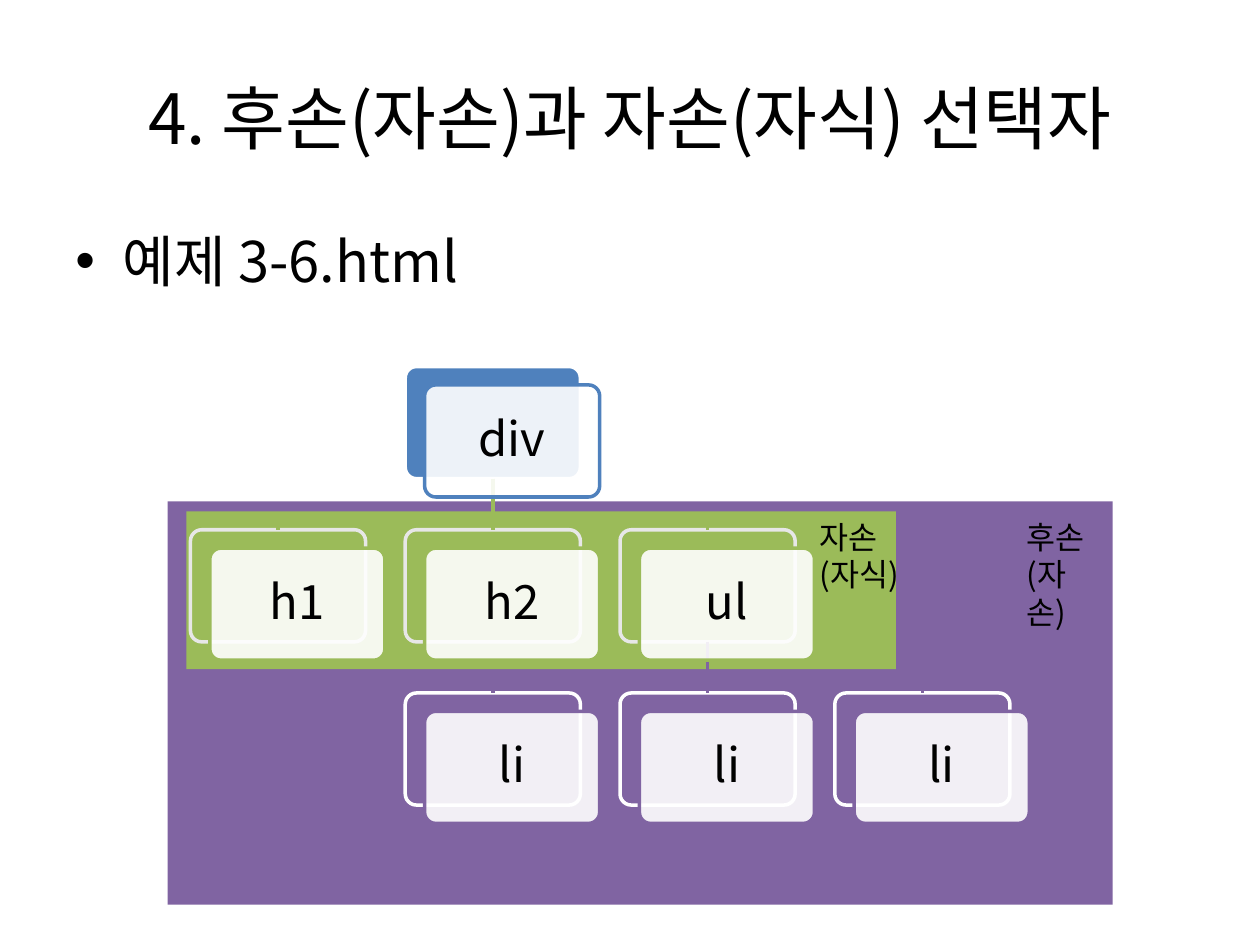
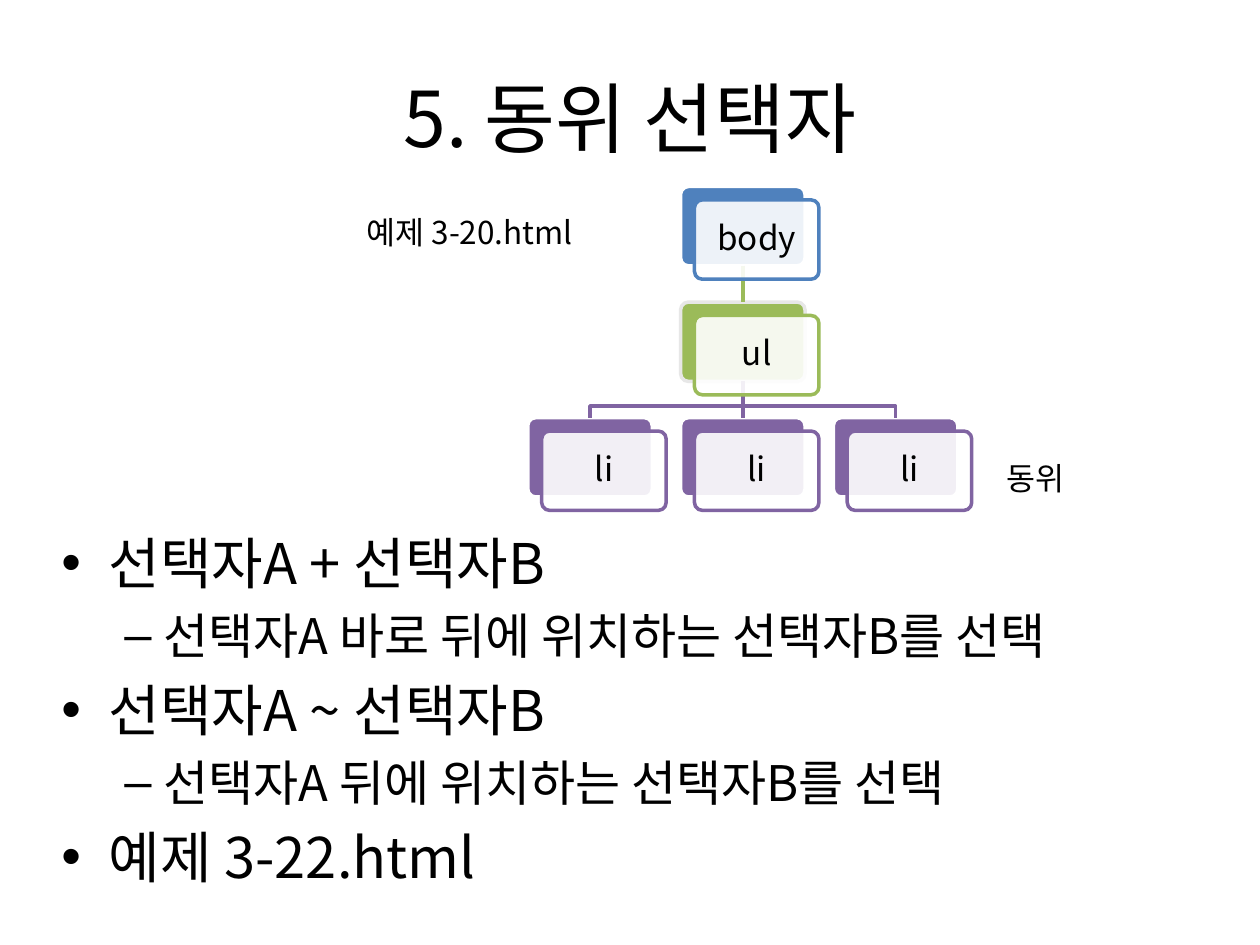
"""Build two slides on CSS descendant, child and sibling selectors."""
from lxml.etree import SubElement
from pptx import Presentation
from pptx.dml.color import RGBColor
from pptx.enum.shapes import MSO_CONNECTOR as Connector, MSO_SHAPE as Shape
from pptx.enum.text import MSO_ANCHOR as Anchor, PP_ALIGN as Align
from pptx.oxml.ns import qn
from pptx.util import Cm, Pt

FONT = "Noto Sans CJK KR"
COLORS = {"text": "000000", "white": "FFFFFF", "gray": "E7E7E7",
          "blue": "4F81BD", "green": "9BBB59", "purple": "8064A2"}
ROW_COLORS = [("blue", "white"), ("green", "gray"), ("purple", "white")]
BULLETS = [
    {"char": "•", "size": 32, "left": 0.95, "hang": 0.95},
    {"char": "–", "size": 28, "left": 2.06, "hang": 0.79},
]
TITLE_BOX = (1.27, 0.76, 22.86, 3.18)
LINE_WIDTH = 2
ELBOW_AT = 0.68

SLIDES = [
    {
        "title": ("4. 후손(자손)과 자손(자식) 선택자", 39.6),
        "body": ((1.27, 4.45, 22.86, 12.57), [(0, "예제 3-6.html")]),
        "bands": [("purple", (3.38, 10.11, 19.05, 8.13)),
                  ("green", (3.76, 10.31, 14.3, 3.18))],
        "notes": [((20.45, 10.31, 1.98, 1.8), ["후손(자손)"]),
                  ((16.28, 10.31, 2.18, 1.8), ["자손", "(자식)"])],
        "tree": {
            "origin": (3.84, 7.39), "pitch": (4.33, 3.29), "card": (3.53, 2.26),
            "offset": (0.39, 0.37), "inset": 0.35, "size": 27,
            "nodes": [("div", 1, 0, None), ("h1", 0, 1, 0), ("h2", 1, 1, 0),
                      ("ul", 2, 1, 0), ("li", 1, 2, 3), ("li", 2, 2, 3),
                      ("li", 3, 2, 3)],
        },
    },
    {
        "title": ("5. 동위 선택자", 44),
        "body": ((0.99, 10.52, 22.86, 8.05), [
            (0, "선택자A + 선택자B"),
            (1, "선택자A 바로 뒤에 위치하는 선택자B를 선택"),
            (0, "선택자A ~ 선택자B"),
            (1, "선택자A 뒤에 위치하는 선택자B를 선택"),
            (0, "예제 3-22.html")]),
        "bands": [],
        "notes": [((7.14, 4.17, 4.7, 1.02), ["예제 3-20.html"]),
                  ((20.04, 9.12, 1.8, 1.02), ["동위"])],
        "tree": {
            "origin": (10.64, 3.76), "pitch": (3.08, 2.33), "card": (2.51, 1.6),
            "offset": (0.28, 0.27), "inset": 0.25, "size": 19,
            "nodes": [("body", 1, 0, None), ("ul", 1, 1, 0), ("li", 0, 2, 1),
                      ("li", 1, 2, 1), ("li", 2, 2, 1)],
        },
    },
]


def rgb(name):
    return RGBColor.from_string(COLORS[name])


def set_all(target, values):
    for name, value in values.items():
        setattr(target, name, value)


def lengths(values):
    return [Cm(value) for value in values]


def write(paragraph, text, size, **layout):
    run = paragraph.add_run()
    run.text = text
    set_all(run.font, {"name": FONT, "size": Pt(size)})
    run.font.color.rgb = rgb("text")
    SubElement(run._r.get_or_add_rPr(), qn("a:ea"), typeface=FONT)
    set_all(paragraph, layout)


def paragraph_at(frame, index):
    return frame.add_paragraph() if index else frame.paragraphs[0]


def text_box(slide, box):
    frame = slide.shapes.add_textbox(*lengths(box)).text_frame
    frame.word_wrap = True
    return frame


def add_title(slide, text, size):
    title = slide.shapes.title
    set_all(title, dict(zip(("left", "top", "width", "height"), lengths(TITLE_BOX))))
    frame = title.text_frame
    set_all(frame, {"word_wrap": True, "vertical_anchor": Anchor.MIDDLE})
    write(frame.paragraphs[0], text, size, alignment=Align.CENTER)


def add_body(slide, box, items):
    frame = text_box(slide, box)
    for index, (level, text) in enumerate(items):
        style = BULLETS[level]
        paragraph = paragraph_at(frame, index)
        write(paragraph, text, style["size"], level=level,
              space_before=Pt(style["size"] * 0.2))
        properties = paragraph._p.get_or_add_pPr()
        properties.set("marL", str(Cm(style["left"])))
        properties.set("indent", str(-Cm(style["hang"])))
        SubElement(properties, qn("a:buFont"), typeface="Arial")
        SubElement(properties, qn("a:buChar"), char=style["char"])


def add_note(slide, box, lines):
    frame = text_box(slide, box)
    for index, text in enumerate(lines):
        write(paragraph_at(frame, index), text, 18)


def add_panel(slide, kind, box, fill, line=None):
    panel = slide.shapes.add_shape(kind, *lengths(box))
    panel.shadow.inherit = False
    panel.fill.solid()
    panel.fill.fore_color.rgb = rgb(fill)
    if line:
        panel.adjustments[0] = 0.1
        draw_line(panel, line)
    else:
        panel.line.fill.background()
    return panel


def draw_line(shape, color):
    shape.line.color.rgb = rgb(color)
    shape.line.width = Pt(LINE_WIDTH)


def link(slide, parent, child, color):
    start_x, end_x = (card.left + card.width // 2 for card in (parent, child))
    start_y, end_y = parent.top + parent.height, child.top
    if abs(start_x - end_x) < Cm(0.1):
        line = slide.shapes.add_connector(Connector.STRAIGHT, start_x, start_y, end_x, end_y)
        line.begin_connect(parent, 2)
        line.end_connect(child, 0)
        draw_line(line, color)
        SubElement(line._element.spPr, qn("a:effectLst"))
        return
    bend_y = start_y + int((end_y - start_y) * ELBOW_AT)
    builder = slide.shapes.build_freeform(start_x, start_y)
    builder.add_line_segments([(start_x, bend_y), (end_x, bend_y), (end_x, end_y)], close=False)
    elbow = builder.convert_to_shape()
    elbow.shadow.inherit = False
    elbow.fill.background()
    draw_line(elbow, color)


def add_front(slide, box, label, color, tree):
    front = add_panel(slide, Shape.ROUNDED_RECTANGLE, box, "white", color)
    fill_color = front._element.spPr.find(qn("a:solidFill"))[0]
    SubElement(fill_color, qn("a:alpha"), val="90000")
    inset = Cm(tree["inset"])
    frame = front.text_frame
    set_all(frame, {"margin_left": inset, "margin_right": inset, "margin_top": inset,
                    "margin_bottom": inset, "vertical_anchor": Anchor.MIDDLE,
                    "word_wrap": True})
    write(frame.paragraphs[0], label, tree["size"], alignment=Align.CENTER,
          line_spacing=0.9, space_after=Pt(tree["size"] * 0.35))


def add_tree(slide, tree):
    (left, top), (step_x, step_y) = tree["origin"], tree["pitch"]
    places = [(left + column * step_x, top + row * step_y)
              for _, column, row, _ in tree["nodes"]]
    backs = [add_panel(slide, Shape.ROUNDED_RECTANGLE, (*place, *tree["card"]), *ROW_COLORS[row])
             for place, (_, _, row, _) in zip(places, tree["nodes"])]
    for back, (_, _, row, parent) in zip(backs, tree["nodes"]):
        if parent is not None:
            link(slide, backs[parent], back, ROW_COLORS[row][0])
    shift_x, shift_y = tree["offset"]
    for (x, y), (label, _, row, _) in zip(places, tree["nodes"]):
        box = (x + shift_x, y + shift_y, *tree["card"])
        add_front(slide, box, label, ROW_COLORS[row][0], tree)


def main():
    presentation = Presentation()
    set_all(presentation, {"slide_width": Cm(25.4), "slide_height": Cm(19.05)})
    for content in SLIDES:
        slide = presentation.slides.add_slide(presentation.slide_layouts[5])
        add_title(slide, *content["title"])
        add_body(slide, *content["body"])
        for color, box in content["bands"]:
            add_panel(slide, Shape.RECTANGLE, box, color)
        add_tree(slide, content["tree"])
        for box, lines in content["notes"]:
            add_note(slide, box, lines)
    presentation.save("out.pptx")


if __name__ == "__main__":
    main()
